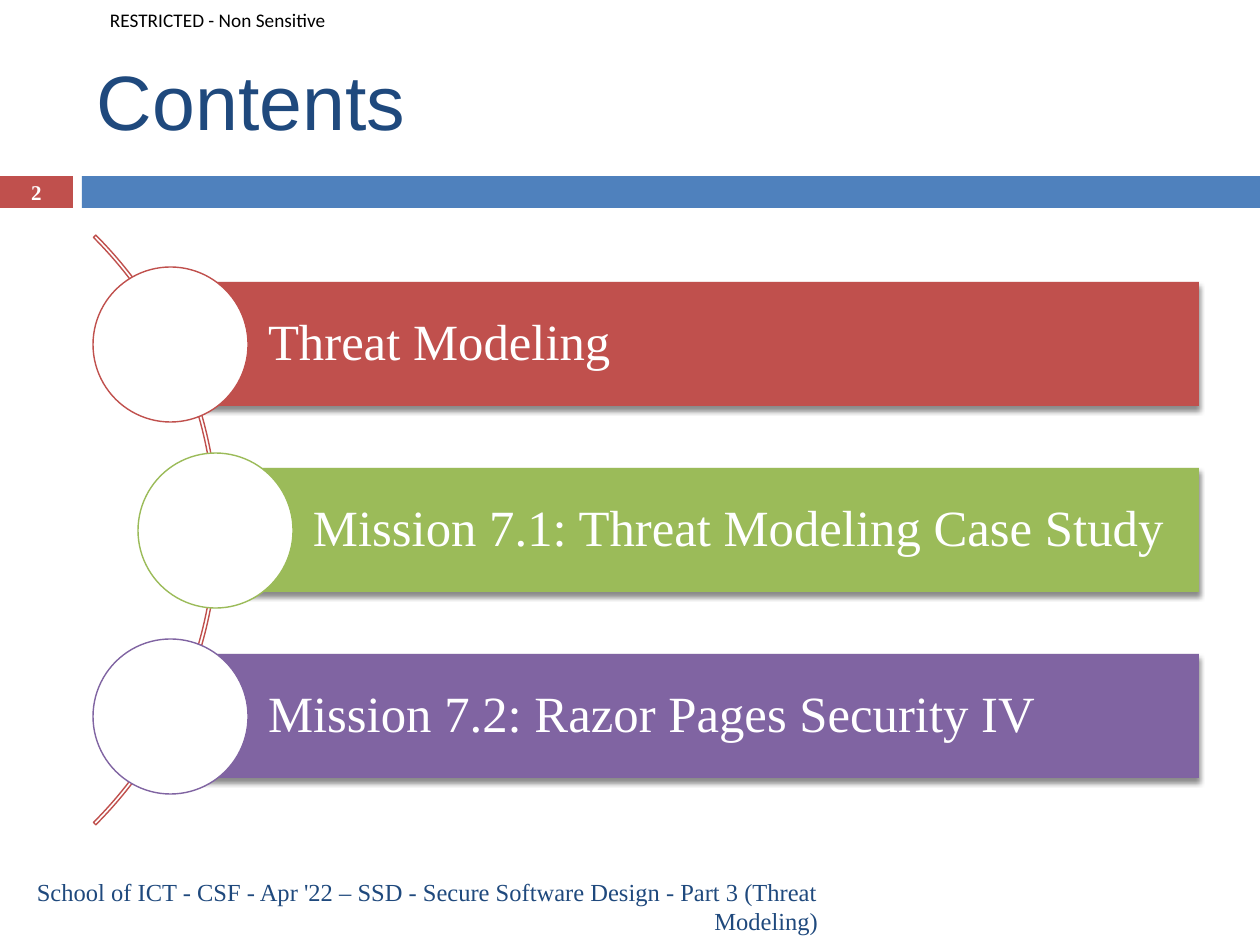
"""Build the Contents slide: three agenda bars hung on a curved spine."""
from dataclasses import dataclass

from lxml.etree import SubElement
from pptx import Presentation
from pptx.dml.color import RGBColor
from pptx.enum.shapes import MSO_SHAPE as Shape
from pptx.enum.text import MSO_ANCHOR as Anchor, MSO_AUTO_SIZE as AutoSize, PP_ALIGN as Align
from pptx.oxml.ns import qn
from pptx.util import Emu, Pt


@dataclass(frozen=True)
class Theme:
    """Colours, fonts and type sizes of the slide."""
    red: str = "C0504D"
    blue: str = "4F81BD"
    green: str = "9BBB59"
    purple: str = "8064A2"
    navy: str = "1F497D"
    white: str = "FFFFFF"
    black: str = "000000"
    serif: str = "Times New Roman"
    sans: str = "Arial"
    label_font: str = "Calibri"
    title_size: float = 44
    item_size: float = 29
    footer_size: float = 14
    number_size: float = 12
    label_size: float = 11
    line_width: float = 0.79


THEME = Theme()
PX_PER_INCH = 126
SLIDE_WIDTH, SLIDE_HEIGHT = 1260, 945
BAND_TOP, BAND_HEIGHT = 176, 32
CENTRE_Y, ROW_STEP = 530, 186
BAR_RIGHT, BAR_HEIGHT = 1199, 124
CIRCLE_SIZE, ARC_LEFT, ARC_SIZE = 155, -616, 834
ITEMS = (
    ("Threat Modeling", THEME.red, 93),
    ("Mission 7.1: Threat Modeling Case Study", THEME.green, 138),
    ("Mission 7.2: Razor Pages Security IV", THEME.purple, 93),
)


def px(length):
    """Turn pixels into EMU."""
    return Emu(round(length * 914400 / PX_PER_INCH))


def assign(target, values):
    """Set each named attribute on the target."""
    for name, value in values.items():
        setattr(target, name, value)


def write(box, text, font, size, color, bold=False, align=Align.LEFT, spacing=1.0,
          insets=(13, 6, 13, 6)):
    """Put one formatted paragraph into a shape."""
    left, top, right, bottom = map(px, insets)
    frame = box.text_frame
    assign(frame, {
        "auto_size": AutoSize.NONE, "word_wrap": True, "vertical_anchor": Anchor.MIDDLE,
        "margin_left": left, "margin_top": top, "margin_right": right, "margin_bottom": bottom,
    })
    para = frame.paragraphs[0]
    assign(para, {"alignment": align, "line_spacing": spacing})
    span = para.add_run()
    span.text = text
    assign(span.font, {"name": font, "size": Pt(size), "bold": bold})
    span.font.color.rgb = RGBColor.from_string(color)


def add_text(page, bounds, text, *style, **layout):
    """Add a text box with one paragraph."""
    box = page.shapes.add_textbox(*map(px, bounds))
    write(box, text, *style, **layout)


def add_figure(page, kind, bounds, fill=None, line=None):
    """Add a preset shape with a plain fill and outline."""
    figure = page.shapes.add_shape(kind, *map(px, bounds))
    figure.shadow.inherit = False
    for paint, color in ((figure.fill, fill), (figure.line.fill, line)):
        if color:
            paint.solid()
            paint.fore_color.rgb = RGBColor.from_string(color)
        else:
            paint.background()
    if line:
        figure.line.width = Pt(THEME.line_width)
    return figure


def add_shadow(figure):
    """Give a shape a soft shadow below it."""
    effects = figure._element.spPr.find(qn("a:effectLst"))
    shadow = SubElement(effects, qn("a:outerShdw"), blurRad="38100", dist="30000",
                        dir="5400000", rotWithShape="0")
    color = SubElement(shadow, qn("a:srgbClr"), val=THEME.black)
    SubElement(color, qn("a:alpha"), val="45000")


def add_spine(page):
    """Add the thin arc that links the circles."""
    bounds = (ARC_LEFT, CENTRE_Y - ARC_SIZE // 2, ARC_SIZE, ARC_SIZE)
    spine = add_figure(page, Shape.BLOCK_ARC, bounds, line=THEME.red)
    for index, value in enumerate((189, 27, 0.004)):
        spine.adjustments[index] = value


def add_item(page, row, text, color, circle_left):
    """Add one agenda bar with its circle."""
    middle = CENTRE_Y + (row - 1) * ROW_STEP
    bar_left = circle_left + CIRCLE_SIZE // 2
    bar = add_figure(page, Shape.RECTANGLE,
                     (bar_left, middle - BAR_HEIGHT // 2, BAR_RIGHT - bar_left, BAR_HEIGHT), color)
    add_shadow(bar)
    write(bar, text, THEME.serif, THEME.item_size, THEME.white,
          spacing=0.9, insets=(98, 10, 10, 10))
    add_figure(page, Shape.OVAL,
               (circle_left, middle - CIRCLE_SIZE // 2, CIRCLE_SIZE, CIRCLE_SIZE),
               THEME.white, color)


def add_title(page, text):
    """Place and format the title placeholder."""
    title = page.shapes.title
    bounds = map(px, (84, 32, 1124, 136))
    assign(title, dict(zip(("left", "top", "width", "height"), bounds)))
    write(title, text, THEME.sans, THEME.title_size, THEME.navy)


def add_band(page):
    """Add the header band and the slide number tab."""
    tab = add_figure(page, Shape.RECTANGLE, (0, BAND_TOP, 73, BAND_HEIGHT), THEME.red)
    write(tab, "2", THEME.serif, THEME.number_size, THEME.white, bold=True, align=Align.CENTER)
    add_figure(page, Shape.RECTANGLE,
               (82, BAND_TOP, SLIDE_WIDTH - 82, BAND_HEIGHT), THEME.blue)


def main():
    """Build and save the deck."""
    deck = Presentation()
    assign(deck, {"slide_width": px(SLIDE_WIDTH), "slide_height": px(SLIDE_HEIGHT)})
    page = deck.slides.add_slide(deck.slide_layouts[5])
    add_band(page)
    add_text(page, (0, 0, 350, 39), "RESTRICTED - Non Sensitive",
             THEME.label_font, THEME.label_size, THEME.black, insets=(110, 0, 0, 0))
    add_title(page, "Contents")
    add_spine(page)
    for row, item in enumerate(ITEMS):
        add_item(page, row, *item)
    add_text(page, (18, 881, 813, 50),
             "School of ICT - CSF - Apr '22 – SSD - Secure Software Design - Part 3 (Threat Modeling)",
             THEME.serif, THEME.footer_size, THEME.navy, align=Align.RIGHT)
    deck.save("out.pptx")


if __name__ == "__main__":
    main()
